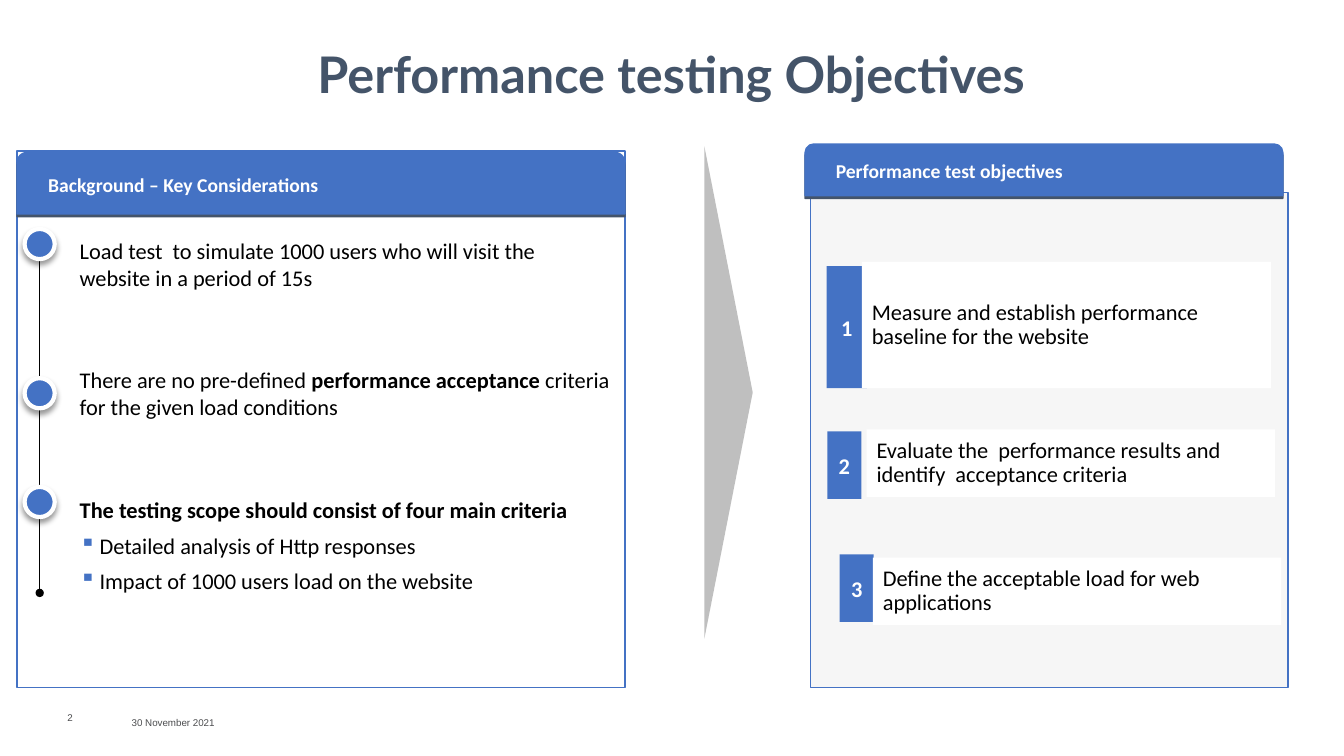
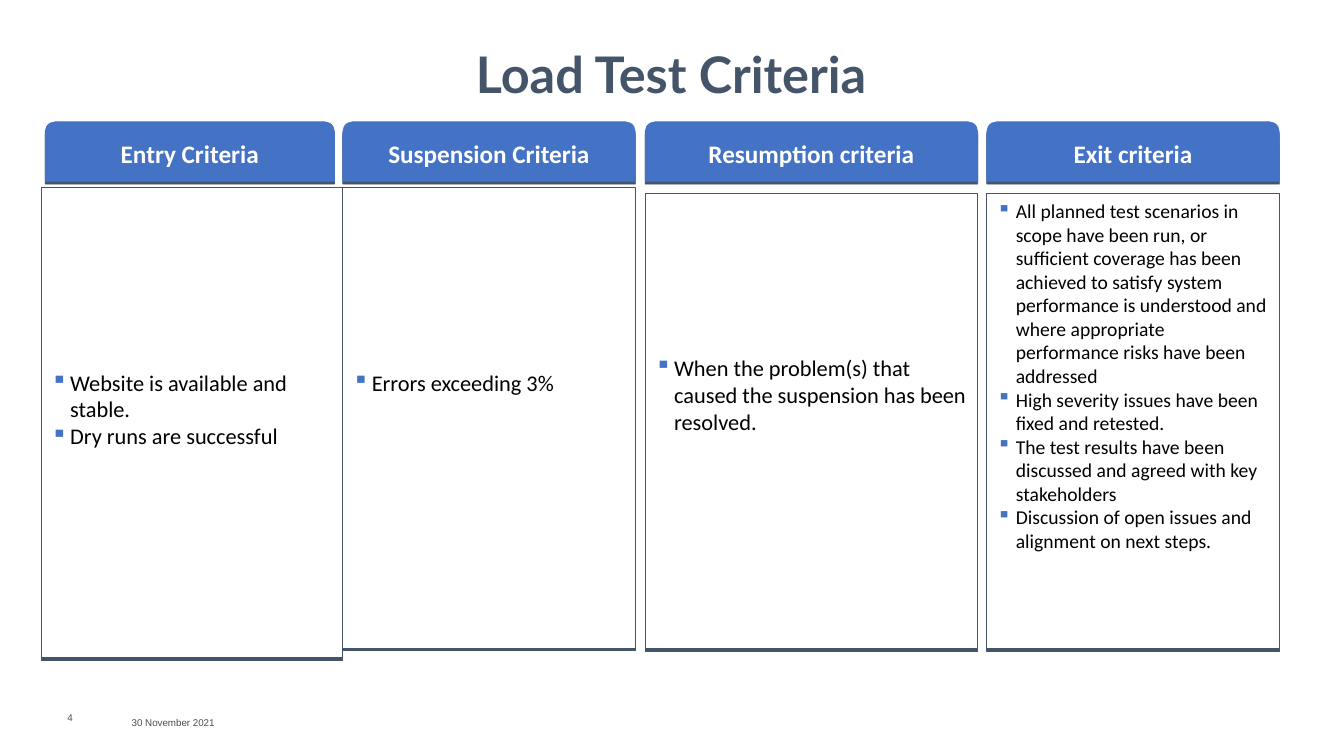
from dataclasses import dataclass

from lxml.etree import SubElement
from pptx import Presentation
from pptx.dml.color import RGBColor
from pptx.enum.shapes import MSO_CONNECTOR, MSO_SHAPE
from pptx.enum.text import MSO_ANCHOR, MSO_AUTO_SIZE, PP_ALIGN
from pptx.oxml.ns import qn
from pptx.presentation import Presentation as Deck
from pptx.shapes.autoshape import Shape
from pptx.slide import Slide
from pptx.text.text import TextFrame
from pptx.util import Cm, Pt

BLUE = RGBColor(0x44, 0x72, 0xC4)
NAVY = RGBColor(0x44, 0x54, 0x6A)
TITLE_COLOR = RGBColor(0x44, 0x54, 0x69)
FOOTER_COLOR = RGBColor(0x4C, 0x4D, 0x4F)
PALE = RGBColor(0xF2, 0xF2, 0xF2)
GREY = RGBColor(0xBF, 0xBF, 0xBF)
WHITE = RGBColor(0xFF, 0xFF, 0xFF)
BLACK = RGBColor(0, 0, 0)
DATE = "30 November 2021"
PANEL_OPACITY = 68
BOLD_MARK = "*"


@dataclass(frozen=True)
class Box:
    left: float
    top: float
    width: float
    height: float

    def lengths(self) -> tuple[Cm, Cm, Cm, Cm]:
        return Cm(self.left), Cm(self.top), Cm(self.width), Cm(self.height)


@dataclass(frozen=True)
class Shadow:
    color: RGBColor
    opacity: int
    blur: float
    distance: float


@dataclass(frozen=True)
class TextStyle:
    size: float
    color: RGBColor = BLACK
    font: str = "Calibri"
    bold: bool = False
    align: PP_ALIGN = PP_ALIGN.LEFT
    anchor: MSO_ANCHOR = MSO_ANCHOR.MIDDLE
    insets: tuple[float, float, float, float] = (0, 0, 0, 0)
    line_spacing: float = 1.0
    gap: float = 0
    indent: float = 0.5
    wrap: bool = True


@dataclass(frozen=True)
class Line:
    text: str
    bullet: bool = False


@dataclass(frozen=True)
class Panel:
    body: Box
    header: Box
    title: str
    fill: RGBColor


@dataclass(frozen=True)
class Note:
    box: Box
    marker_top: float
    lines: tuple[Line, ...]
    right_inset: float = 0.2


@dataclass(frozen=True)
class Objective:
    badge: Box
    tile: Box
    text: str
    right_inset: float = 0.25


@dataclass(frozen=True)
class Criterion:
    title: str
    header_left: float
    header_width: float
    body: Box
    text_offset: float
    items: tuple[str, ...]
    size: float = 16


EDGE_SHADOW = Shadow(NAVY, 100, 0, 2)
MARKER_SHADOW = Shadow(BLACK, 40, 4, 3)
TITLE_STYLE = TextStyle(36, TITLE_COLOR, "Lato", True, PP_ALIGN.CENTER, line_spacing=1.03)
NUMBER_STYLE = TextStyle(7, FOOTER_COLOR, "Arial", anchor=MSO_ANCHOR.TOP)
DATE_STYLE = TextStyle(7, FOOTER_COLOR, "Arial", anchor=MSO_ANCHOR.TOP, insets=(0.25, 0.13, 0.25, 0.13))
PANEL_HEADER_STYLE = TextStyle(14, WHITE, bold=True, insets=(0.71, 0.41, 0.41, 0.41))
COLUMN_HEADER_STYLE = TextStyle(18, WHITE, bold=True, align=PP_ALIGN.CENTER, insets=(0, 0.41, 0, 0.41))
BADGE_STYLE = TextStyle(16, WHITE, bold=True, align=PP_ALIGN.CENTER, insets=(0.25, 0.08, 0.25, 0.08), wrap=False)

PANELS = (
    Panel(Box(0.43, 3.81, 15.32, 13.51), Box(0.43, 3.84, 15.32, 1.55),
          "Background – Key Considerations", WHITE),
    Panel(Box(20.42, 4.85, 12.04, 12.47), Box(20.29, 3.63, 12.04, 1.3),
          "Performance test objectives", PALE),
)
NOTES = (
    Note(Box(1.73, 5.89, 14.07, 1.55), 5.77,
         (Line("Load test  to simulate 1000 users who will visit the website in a period of 15s"),), 0.46),
    Note(Box(1.73, 9.12, 14.07, 1.55), 9.53,
         (Line("There are no pre-defined *performance acceptance *criteria for the given load conditions"),)),
    Note(Box(1.73, 12.4, 14.07, 2.67), 12.27,
         (Line("*The testing scope should consist of four main criteria"),
          Line("Detailed analysis of Http responses", True),
          Line("Impact of 1000 users load on the website", True))),
)
OBJECTIVES = (
    Objective(Box(20.83, 6.71, 1.02, 3.07), Box(21.72, 6.6, 10.31, 3.18),
              "Measure and establish performance baseline for the website"),
    Objective(Box(20.85, 10.87, 0.86, 1.7), Box(21.84, 10.82, 10.29, 1.7),
              "Evaluate the  performance results and identify  acceptance criteria"),
    Objective(Box(21.16, 13.97, 0.86, 1.7), Box(22, 14.05, 10.29, 1.7),
              "Define the acceptable load for web applications", 0),
)
CRITERIA = (
    Criterion("Entry Criteria", 1.14, 7.29, Box(1.04, 4.72, 7.59, 11.84), 4.57,
              ("Website is available and stable.", "Dry runs are successful")),
    Criterion("Suspension Criteria", 8.64, 7.37, Box(8.64, 4.72, 7.37, 11.61), 4.57,
              ("Errors exceeding 3%",)),
    Criterion("Resumption criteria", 16.26, 8.38, Box(16.26, 4.88, 8.38, 11.46), 4.04,
              ("When the problem(s) that caused the suspension has been resolved.",)),
    Criterion("Exit criteria", 24.87, 7.37, Box(24.87, 4.88, 7.37, 11.46), 0.14,
              ("All planned test scenarios in scope have been run, or sufficient coverage has been achieved "
               "to satisfy system performance is understood and where appropriate performance risks "
               "have been addressed",
               "High severity issues have been fixed and retested.",
               "The test results have been discussed and agreed with key stakeholders",
               "Discussion of open issues and alignment on next steps."), 14),
)


def write(frame: TextFrame, lines: tuple[Line, ...], style: TextStyle) -> None:
    frame.auto_size = MSO_AUTO_SIZE.NONE
    frame.word_wrap = style.wrap
    frame.vertical_anchor = style.anchor
    frame.margin_left, frame.margin_top, frame.margin_right, frame.margin_bottom = map(Cm, style.insets)
    for index, line in enumerate(lines):
        para = frame.add_paragraph() if index else frame.paragraphs[0]
        para.alignment = style.align
        para.line_spacing = style.line_spacing
        para.space_before = para.space_after = Pt(style.gap)
        for position, text in enumerate(line.text.split(BOLD_MARK)):
            if text:
                span = para.add_run()
                span.text = text
                span.font.name = style.font
                span.font.size = Pt(style.size)
                span.font.bold = style.bold or position % 2 == 1
                span.font.color.rgb = style.color
        if line.bullet:
            properties = para._p.get_or_add_pPr()
            properties.set("marL", str(Cm(style.indent)))
            properties.set("indent", str(-Cm(style.indent)))
            color = SubElement(properties, qn("a:buClr"))
            SubElement(color, qn("a:srgbClr"), val=str(BLUE))
            SubElement(properties, qn("a:buChar"), char="▪")


def add_text(page: Slide, box: Box, lines: tuple[Line, ...], style: TextStyle) -> None:
    write(page.shapes.add_textbox(*box.lengths()).text_frame, lines, style)


def add_block(page: Slide, kind: MSO_SHAPE, box: Box, fill: RGBColor, line: RGBColor | None = None,
              weight: float = 1, shadow: Shadow | None = None) -> Shape:
    shape = page.shapes.add_shape(kind, *box.lengths())
    shape.fill.solid()
    shape.fill.fore_color.rgb = fill
    if line is None:
        shape.line.fill.background()
    else:
        shape.line.color.rgb = line
        shape.line.width = Pt(weight)
    shape.shadow.inherit = False
    if shadow:
        effects = shape._element.spPr.find(qn("a:effectLst"))
        outer = SubElement(effects, qn("a:outerShdw"), blurRad=str(Pt(shadow.blur)),
                           dist=str(Pt(shadow.distance)), dir="5400000", rotWithShape="0")
        color = SubElement(outer, qn("a:srgbClr"), val=str(shadow.color))
        SubElement(color, qn("a:alpha"), val=str(shadow.opacity * 1000))
    return shape


def add_header(page: Slide, box: Box, title: str, style: TextStyle, weight: float) -> None:
    header = add_block(page, MSO_SHAPE.ROUND_2_SAME_RECTANGLE, box, BLUE, BLUE, weight, EDGE_SHADOW)
    write(header.text_frame, (Line(title),), style)


def add_page(deck: Deck, title: str, number: int) -> Slide:
    page = deck.slides.add_slide(deck.slide_layouts[5])
    heading = page.shapes.title
    heading.left, heading.top, heading.width, heading.height = Box(1.7, 1.12, 30.43, 1.4).lengths()
    write(heading.text_frame, (Line(title),), TITLE_STYLE)
    add_text(page, Box(1.7, 17.93, 1.37, 0.41), (Line(str(number)),), NUMBER_STYLE)
    add_text(page, Box(3.07, 17.93, 4.52, 0.41), (Line(DATE),), DATE_STYLE)
    return page


def add_panel(page: Slide, panel: Panel) -> None:
    body = add_block(page, MSO_SHAPE.RECTANGLE, panel.body, panel.fill, BLUE)
    color = body._element.spPr.find(qn("a:solidFill")).find(qn("a:srgbClr"))
    SubElement(color, qn("a:alpha"), val=str(PANEL_OPACITY * 1000))
    add_header(page, panel.header, panel.title, PANEL_HEADER_STYLE, 1)


def add_timeline(page: Slide) -> None:
    center, diameter = 1.0, 0.76
    line = page.shapes.add_connector(MSO_CONNECTOR.STRAIGHT, Cm(center), Cm(5.87), Cm(center), Cm(14.94))
    line.line.color.rgb = BLACK
    line.line.width = Pt(0.75)
    outline = line.line._get_or_add_ln()
    for end in ("a:headEnd", "a:tailEnd"):
        SubElement(outline, qn(end), type="oval")
    SubElement(line._element.spPr, qn("a:effectLst"))
    for note in NOTES:
        marker = Box(center - diameter / 2, note.marker_top, diameter, diameter)
        add_block(page, MSO_SHAPE.OVAL, marker, BLUE, WHITE, 3, MARKER_SHADOW)
        add_text(page, note.box, note.lines,
                 TextStyle(16, insets=(0.28, 0.1, note.right_inset, 0.1), gap=3))


def add_objective(page: Slide, number: int, objective: Objective) -> None:
    badge = add_block(page, MSO_SHAPE.RECTANGLE, objective.badge, BLUE)
    write(badge.text_frame, (Line(str(number)),), BADGE_STYLE)
    tile = add_block(page, MSO_SHAPE.RECTANGLE, objective.tile, WHITE)
    write(tile.text_frame, (Line(objective.text),),
          TextStyle(16, insets=(0.25, 0.23, objective.right_inset, 0.23), line_spacing=0.9, gap=3))


def add_pointer(page: Slide) -> None:
    builder = page.shapes.build_freeform(Cm(17.75), Cm(3.68), scale=1.0)
    builder.add_line_segments([(Cm(18.97), Cm(9.89)), (Cm(17.75), Cm(16.1))], close=True)
    pointer = builder.convert_to_shape()
    pointer.fill.solid()
    pointer.fill.fore_color.rgb = GREY
    pointer.line.fill.background()
    pointer.shadow.inherit = False


def add_criterion(page: Slide, criterion: Criterion) -> None:
    add_header(page, Box(criterion.header_left, 3.07, criterion.header_width, 1.5),
               criterion.title, COLUMN_HEADER_STYLE, 0.5)
    body = add_block(page, MSO_SHAPE.RECTANGLE, criterion.body, WHITE, NAVY, 0.5, EDGE_SHADOW)
    write(body.text_frame, tuple(Line(item, True) for item in criterion.items),
          TextStyle(criterion.size, anchor=MSO_ANCHOR.TOP,
                    insets=(0.25, criterion.text_offset, 0.25, 0.25), indent=0.48))


def main() -> None:
    deck = Presentation()
    deck.slide_width, deck.slide_height = Cm(33.87), Cm(19.05)

    page = add_page(deck, "Performance testing Objectives", 2)
    for panel in PANELS:
        add_panel(page, panel)
    add_timeline(page)
    for number, objective in enumerate(OBJECTIVES, 1):
        add_objective(page, number, objective)
    add_pointer(page)

    page = add_page(deck, "Load Test Criteria", 4)
    for criterion in reversed(CRITERIA):
        add_criterion(page, criterion)

    deck.save("out.pptx")


if __name__ == "__main__":
    main()
